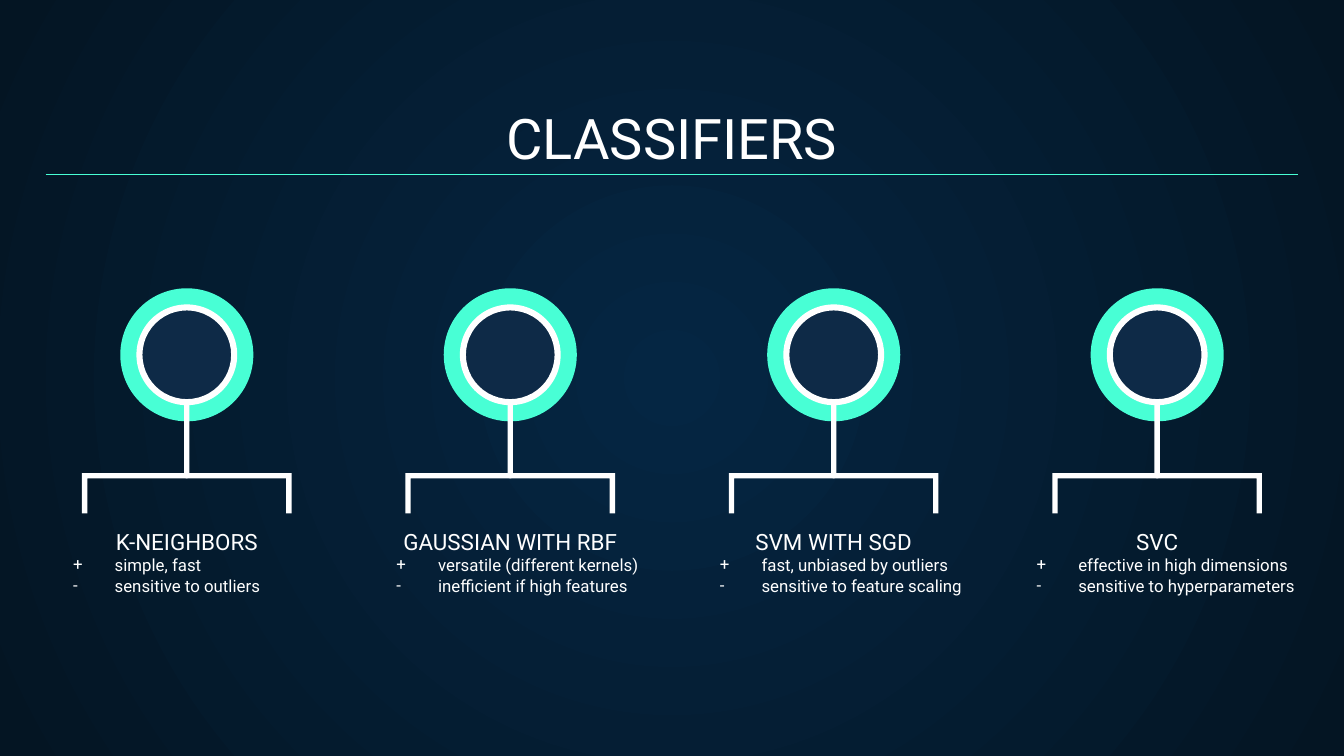
from dataclasses import dataclass

from lxml import etree
from pptx import Presentation
from pptx.dml.color import RGBColor
from pptx.enum.shapes import MSO_CONNECTOR, MSO_SHAPE
from pptx.enum.text import MSO_ANCHOR, MSO_AUTO_SIZE, PP_ALIGN
from pptx.oxml.ns import qn
from pptx.util import Inches, Pt

OVAL, DONUT, ROUNDED = MSO_SHAPE.OVAL, MSO_SHAPE.DONUT, MSO_SHAPE.ROUNDED_RECTANGLE
STRAIGHT = MSO_CONNECTOR.STRAIGHT
CENTER, LEFT = PP_ALIGN.CENTER, PP_ALIGN.LEFT
TOP, BOTTOM = MSO_ANCHOR.TOP, MSO_ANCHOR.BOTTOM
NO_AUTOFIT = MSO_AUTO_SIZE.NONE


@dataclass(frozen=True)
class Theme:
    font: str = "Roboto"
    white: str = "FFFFFF"
    mint: str = "48FFD5"
    navy: str = "0E2A47"
    glow: str = "052643"
    edge: str = "041523"
    title_size: int = 30
    heading_size: int = 12
    body_size: int = 9


theme = Theme()


def paint(shape, color):
    shape.shadow.inherit = False
    shape.fill.solid()
    shape.fill.fore_color.rgb = RGBColor.from_string(color)
    shape.line.fill.background()


def style_text(para, size, align):
    para.alignment = align
    for span in para.runs:
        span.font.name = theme.font
        span.font.size = Pt(size)
        span.font.color.rgb = RGBColor.from_string(theme.white)


deck = Presentation()
deck.slide_width = Inches(10)
deck.slide_height = deck.slide_width * 9 // 16
page = deck.slides.add_slide(deck.slide_layouts[5])

background = page.background.fill
background.gradient()
for stop, color in zip(background.gradient_stops, (theme.glow, theme.edge)):
    stop.color.rgb = RGBColor.from_string(color)
gradient = page.element.find(".//" + qn("a:gradFill"))
gradient.remove(gradient.find(qn("a:lin")))
radial = etree.SubElement(gradient, qn("a:path"), {"path": "circle"})
etree.SubElement(radial, qn("a:fillToRect"), {side: "50000" for side in "ltrb"})

title = page.shapes.title
title.left, title.top = Inches(0.34), Inches(0.71)
title.width, title.height = Inches(9.32), Inches(0.66)
frame = title.text_frame
frame.text = "CLASSIFIERS"
frame.auto_size = NO_AUTOFIT
frame.vertical_anchor = BOTTOM
frame.margin_left = frame.margin_right = frame.margin_top = frame.margin_bottom = Inches(0.1)
style_text(frame.paragraphs[0], theme.title_size, CENTER)

rule = page.shapes.add_connector(STRAIGHT, Inches(0.34), Inches(1.3), Inches(9.66), Inches(1.3))
rule.line.color.rgb = RGBColor.from_string(theme.mint)
rule.line.width = Pt(0.75)
etree.SubElement(rule.element.spPr, qn("a:effectLst"))

classifiers = [
    ("K-NEIGHBORS", "simple, fast", "sensitive to outliers", 2.27),
    ("GAUSSIAN WITH RBF", "versatile (different kernels)", "inefficient if high features", 2.27),
    ("SVM WITH SGD", "fast, unbiased by outliers", "sensitive to feature scaling", 2.27),
    ("SVC", "effective in high dimensions", "sensitive to hyperparameters", 2.37),
]
first_center, pitch = 1.39, 7.22 / 3
circle_middle = 2.64
bracket_top, bracket_bottom, bracket_half, stroke = 3.52, 3.82, 0.78, 0.04

for index, (name, strength, weakness, width) in enumerate(classifiers):
    center = first_center + index * pitch

    inner = bracket_half - stroke
    corners = [
        (-bracket_half, bracket_top), (bracket_half, bracket_top),
        (bracket_half, bracket_bottom), (inner, bracket_bottom),
        (inner, bracket_top + stroke), (-inner, bracket_top + stroke),
        (-inner, bracket_bottom), (-bracket_half, bracket_bottom),
    ]
    points = [(Inches(center + x), Inches(y)) for x, y in corners]
    outline = page.shapes.build_freeform(*points[0])
    outline.add_line_segments(points[1:], close=True)

    disc_parts = [
        (OVAL, 0.99, 0.99, circle_middle, theme.mint, None),
        (ROUNDED, stroke, 1, 3.06, theme.white, 0.5),
        (OVAL, 0.7, 0.7, circle_middle, theme.navy, None),
        (DONUT, 0.75, 0.75, circle_middle, theme.white, 0.06),
    ]
    paint(outline.convert_to_shape(), theme.white)
    for kind, part_width, part_height, middle, color, adjustment in disc_parts:
        part = page.shapes.add_shape(
            kind, Inches(center - part_width / 2), Inches(middle - part_height / 2),
            Inches(part_width), Inches(part_height))
        paint(part, color)
        if adjustment is not None:
            part.adjustments[0] = adjustment

    box = page.shapes.add_textbox(
        Inches(center - width / 2), Inches(3.83), Inches(width), Inches(0.75))
    frame = box.text_frame
    frame.word_wrap = True
    frame.vertical_anchor = TOP
    frame.margin_left = frame.margin_right = frame.margin_top = frame.margin_bottom = Inches(0.1)
    frame.text = name
    style_text(frame.paragraphs[0], theme.heading_size, CENTER)
    for mark, line in (("+", strength), ("-", weakness)):
        para = frame.add_paragraph()
        para.text = line
        style_text(para, theme.body_size, LEFT)
        properties = para._p.get_or_add_pPr()
        properties.set("marL", str(Inches(0.5)))
        properties.set("indent", str(Inches(-0.31)))
        bullet_color = etree.SubElement(properties, qn("a:buClr"))
        etree.SubElement(bullet_color, qn("a:srgbClr"), {"val": theme.white})
        etree.SubElement(properties, qn("a:buFont"), {"typeface": theme.font})
        etree.SubElement(properties, qn("a:buChar"), {"char": mark})

deck.save("out.pptx")
